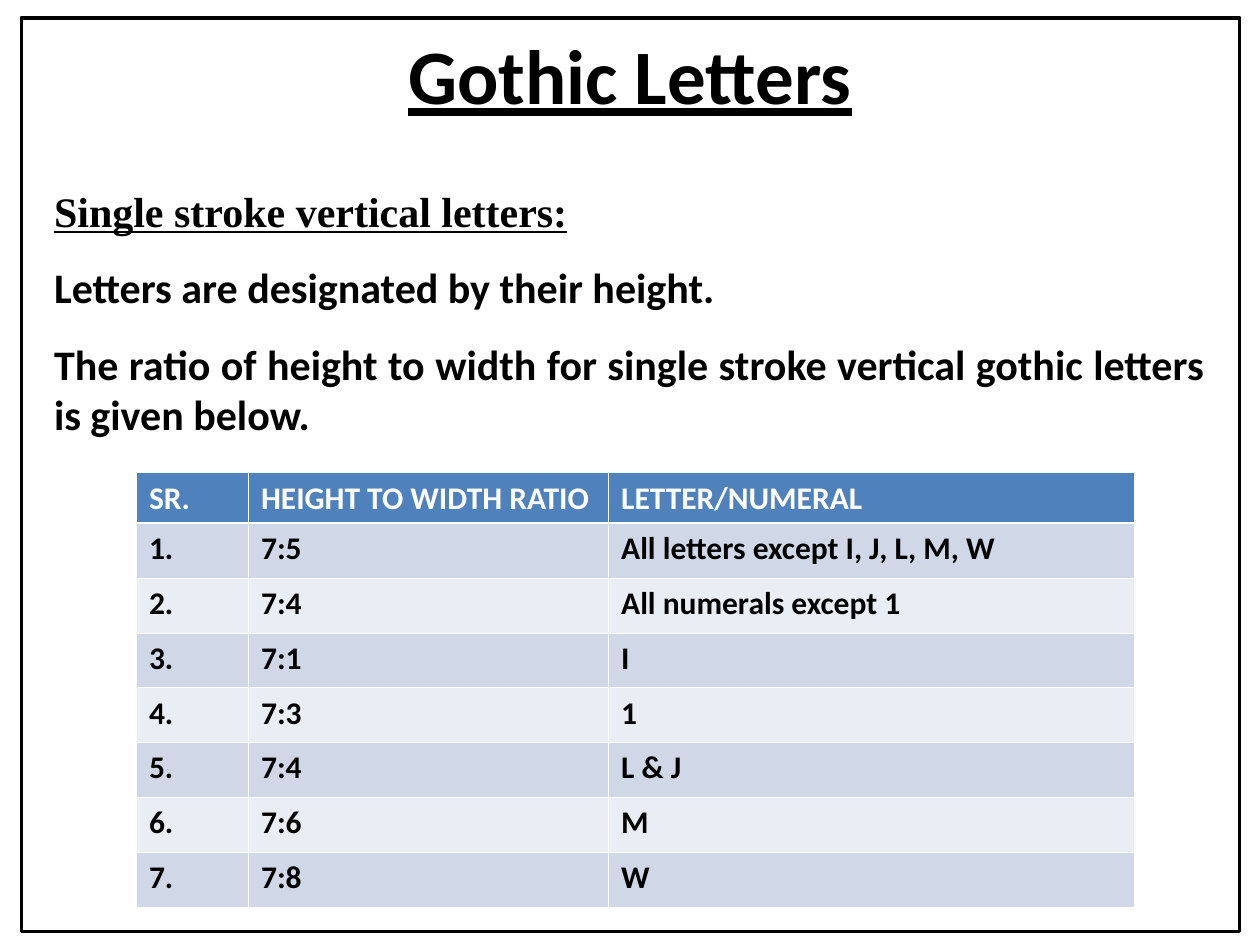
"""Build the Gothic Letters slide with its height to width ratio table."""
from lxml import etree
from pptx import Presentation
from pptx.dml.color import RGBColor
from pptx.enum.shapes import MSO_SHAPE
from pptx.enum.text import MSO_ANCHOR, MSO_AUTO_SIZE, PP_ALIGN
from pptx.oxml.ns import qn
from pptx.util import Cm, Pt

RECTANGLE = MSO_SHAPE.RECTANGLE
MIDDLE = MSO_ANCHOR.MIDDLE
NO_FIT, GROW = MSO_AUTO_SIZE.NONE, MSO_AUTO_SIZE.SHAPE_TO_FIT_TEXT
LEFT, CENTER, JUSTIFY = PP_ALIGN.LEFT, PP_ALIGN.CENTER, PP_ALIGN.JUSTIFY
BLACK = RGBColor(0x00, 0x00, 0x00)
WHITE = RGBColor(0xFF, 0xFF, 0xFF)
HEADER_BLUE = RGBColor(0x4F, 0x81, 0xBD)
BAND_DARK = RGBColor(0xD0, 0xD8, 0xE8)
BAND_LIGHT = RGBColor(0xE9, 0xED, 0xF4)


def write(para, text, size=24, font="Calibri", color=BLACK, underline=False, align=LEFT, before=0):
    para.alignment = align
    para.space_before = Pt(before)
    span = para.add_run()
    span.text = text
    span.font.size = Pt(size)
    span.font.name = font
    span.font.bold = True
    span.font.underline = underline
    span.font.color.rgb = color


def add_border(cell, side, width):
    line = etree.SubElement(cell._tc.get_or_add_tcPr(), qn(f"a:{side}"), w=str(Pt(width)))
    fill = etree.SubElement(line, qn("a:solidFill"))
    etree.SubElement(fill, qn("a:srgbClr"), val=str(WHITE))


deck = Presentation()
deck.slide_width, deck.slide_height = Cm(25.4), Cm(19.05)
page = deck.slides.add_slide(deck.slide_layouts[5])

frame = page.shapes.add_shape(RECTANGLE, Cm(0.43), Cm(0.36), Cm(24.56), Cm(18.42))
frame.shadow.inherit = False
frame.fill.background()
frame.line.color.rgb = BLACK
frame.line.width = Pt(2)

title = page.shapes.title
page.shapes.element.append(title.element)
title.left, title.top, title.width, title.height = Cm(0.5), Cm(0.43), Cm(24.4), Cm(2.1)
title.text_frame.auto_size = NO_FIT
title.text_frame.vertical_anchor = MIDDLE
write(title.text_frame.paragraphs[0], "Gothic Letters", size=44, underline=True, align=CENTER)

intro = page.shapes.add_textbox(Cm(0.84), Cm(3.61), Cm(23.7), Cm(5.38)).text_frame
intro.word_wrap = True
intro.auto_size = GROW
write(intro.paragraphs[0], "Single stroke vertical letters:", font="Times New Roman",
      underline=True, align=JUSTIFY)
for sentence in (
    "Letters are designated by their height.",
    "The ratio of height to width for single stroke vertical gothic letters is given below.",
):
    write(intro.add_paragraph(), sentence, align=JUSTIFY, before=15)

ratios = [
    ("7:5", "All letters except I, J, L, M, W"),
    ("7:4", "All numerals except 1"),
    ("7:1", "I"),
    ("7:3", "1"),
    ("7:4", "L & J"),
    ("7:6", "M"),
    ("7:8", "W"),
]
rows = [("SR.", "HEIGHT TO WIDTH RATIO", "LETTER/NUMERAL")]
rows += [(f"{number}.", *ratio) for number, ratio in enumerate(ratios, 1)]

table = page.shapes.add_table(len(rows), 3, Cm(2.75), Cm(9.53), Cm(20.11), Cm(8.76)).table
for column, width in zip(table.columns, (2.26, 7.26, 10.59)):
    column.width = Cm(width)

for row_index, texts in enumerate(rows):
    is_header = row_index == 0
    table.rows[row_index].height = Cm(1.02 if is_header else 1.105)
    band = HEADER_BLUE if is_header else BAND_DARK if row_index % 2 else BAND_LIGHT
    for column_index, text in enumerate(texts):
        cell = table.cell(row_index, column_index)
        add_border(cell, "lnL", 0.45)
        add_border(cell, "lnR", 0.45)
        add_border(cell, "lnT", 1.47 if row_index == 1 else 0.45)
        add_border(cell, "lnB", 1.47 if is_header else 0.45)
        cell.fill.solid()
        cell.fill.fore_color.rgb = band
        write(cell.text_frame.paragraphs[0], text, size=18, color=WHITE if is_header else BLACK)

deck.save("out.pptx")
